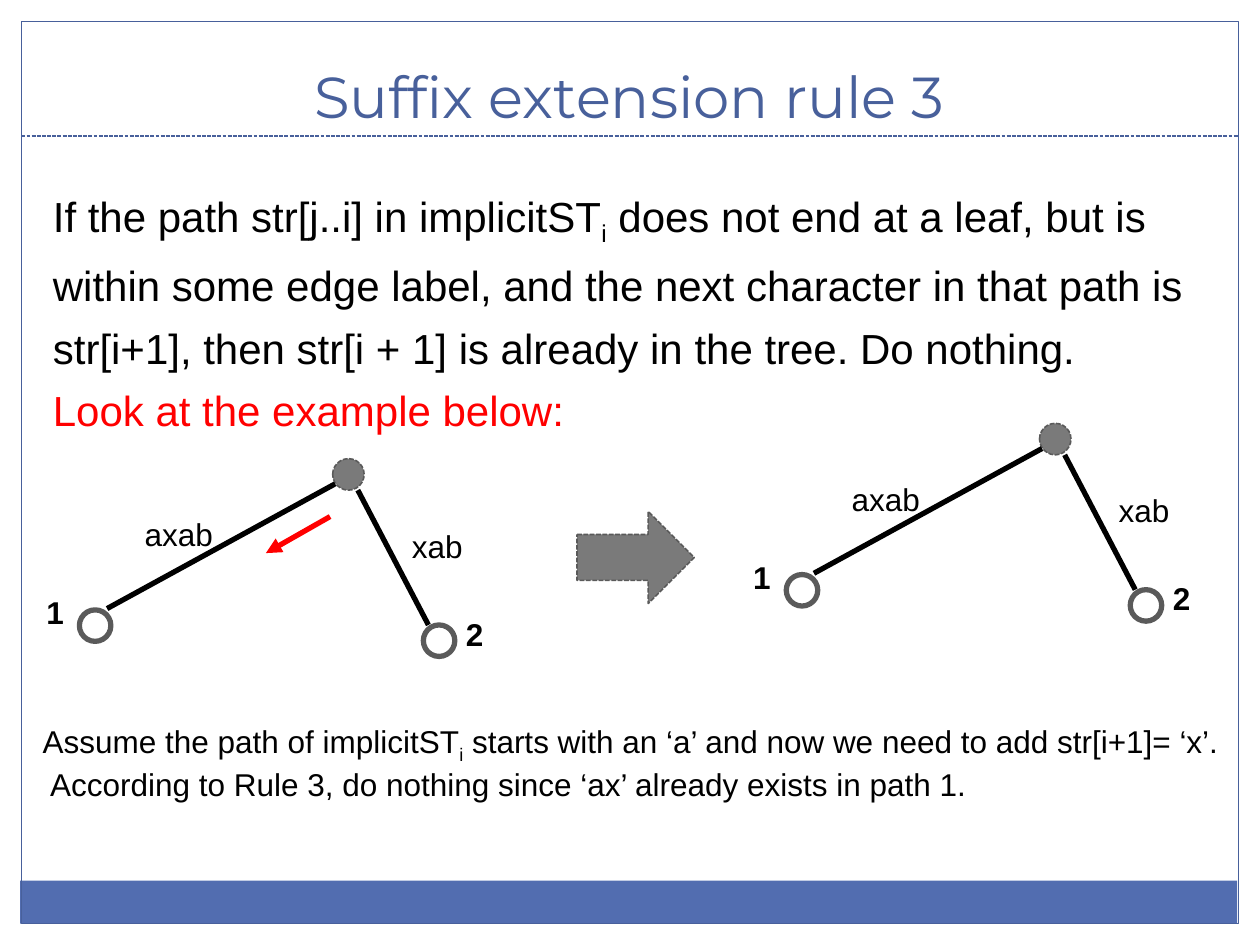
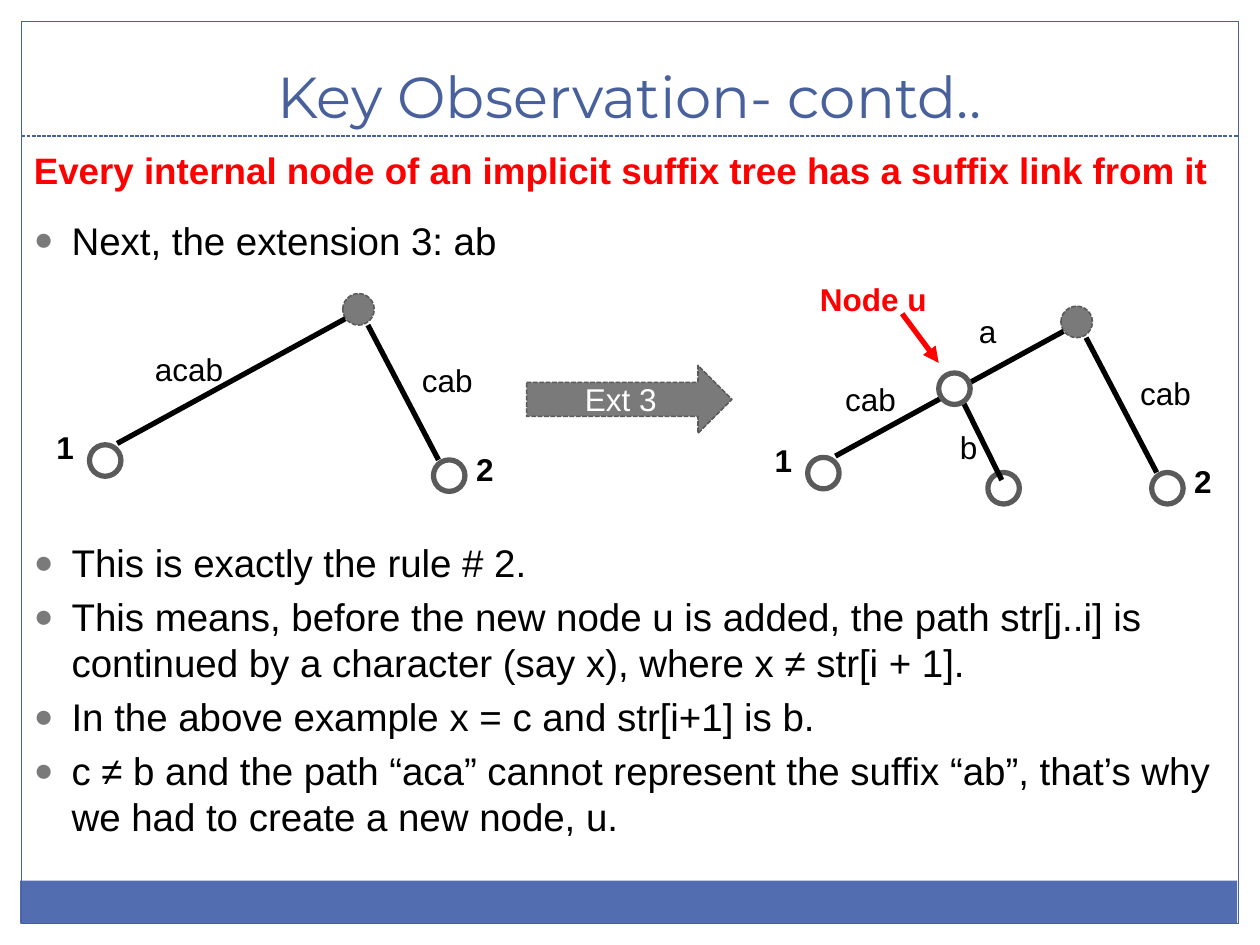
from lxml.etree import SubElement as Sub
from pptx import Presentation
from pptx.dml.color import RGBColor as RGB
from pptx.enum.dml import MSO_LINE as Dash
from pptx.enum.shapes import MSO_CONNECTOR as Conn, MSO_SHAPE as Form
from pptx.enum.text import MSO_ANCHOR as Anchor, PP_ALIGN as Align
from pptx.oxml.ns import qn
from pptx.util import Inches, Pt

HUES = {
    "title": "48609B", "band": "526DB0", "gray": "7A7A7A", "edge": "5A5A5A",
    "black": "000000", "white": "FFFFFF", "red": "FF0000",
}
DOT = 0.25


def hue(name):
    return RGB.from_string(HUES[name])


def apply(item, **vals):
    for key, val in vals.items():
        setattr(item, key, val)


def stroke(line, color, width, dash=None):
    line.color.rgb = hue(color)
    apply(line, width=Pt(width), dash_style=dash)


def shape(host, form, box, fill=None, line=None):
    item = host.add_shape(form, *map(Inches, box))
    item.shadow.inherit = False
    if fill:
        item.fill.solid()
        item.fill.fore_color.rgb = hue(fill)
    else:
        item.fill.background()
    if line:
        stroke(item.line, *line)
    else:
        item.line.fill.background()
    return item


def link(host, start, end, color="black", width=3, dash=None, head=False):
    item = host.add_connector(Conn.STRAIGHT, *map(Inches, start + end))
    stroke(item.line, color, width, dash)
    prop = item.line._get_or_add_ln().getparent()
    if head:
        Sub(item.line._get_or_add_ln(), qn("a:tailEnd"), type="triangle")
    Sub(prop, qn("a:effectLst"))


def write(para, parts, size=18, color="black", face="Arial", bold=None):
    for part in parts:
        low = part.startswith("_")
        run = para.add_run()
        run.text = part.removeprefix("_")
        apply(run.font, size=Pt(size), name=face, bold=bold)
        run.font.color.rgb = hue(color)
        if low:
            run._r.get_or_add_rPr().set("baseline", "-25000")


def text(host, box, rows, wrap=True, **style):
    frame = host.add_textbox(*map(Inches, box)).text_frame
    frame.word_wrap = wrap
    for num, parts in enumerate(rows):
        para = frame.add_paragraph() if num else frame.paragraphs[0]
        write(para, parts, **style)
    return frame


def label(host, spot, words, **style):
    wide = {1: 0.34, 3: 0.61, 4: 0.75, 6: 1.06}[len(words)]
    text(host, spot + (wide, 0.4), [[words]], wrap=False, **style)


def node(host, spot, fill=None):
    return shape(host, Form.OVAL, spot + (DOT, DOT), fill, ("edge", 3))


def arrow(host, box):
    return shape(host, Form.RIGHT_ARROW, box, "gray", ("edge", 0.9, Dash.SQUARE_DOT))


def tree(slide, left, top, long, short, spot=(0.78, 0.4)):
    def at(x, y):
        return left + x, top + y

    host = slide.shapes.add_group_shape().shapes
    shape(host, Form.OVAL, at(2.37, 0) + (DOT, DOT), "gray", ("edge", 0.9, Dash.SQUARE_DOT))
    node(host, at(0.36, 1.2))
    link(host, at(2.39, 0.2), at(0.58, 1.19))
    link(host, at(2.57, 0.25), at(3.13, 1.32))
    label(host, at(2.9, 0.49), short)
    node(host, at(3.09, 1.32))
    label(host, at(*spot), long)
    label(host, at(0, 1.02), "1", bold=True)
    label(host, at(3.33, 1.19), "2", bold=True)


def split(host, left, top):
    def at(x, y):
        return left + x, top + y

    node(host, at(1.43, 1.58), "white")
    link(host, at(1.18, 0.91), at(1.54, 1.64))
    node(host, at(1.04, 0.79), "white")
    label(host, at(1.26, 0.26), "a")
    label(host, at(1.11, 1.18), "b")
    label(host, at(0, 0), "Node u", color="red", bold=True)
    link(host, at(0.75, 0.32), at(1.04, 0.71), "red", head=True)


def bullets(host, box, rows):
    frame = text(host, box, [[row] for row in rows], size=22)
    for num, para in enumerate(frame.paragraphs):
        prop = para._p.get_or_add_pPr()
        apply_xml = {"marL": Inches(0.3), "indent": -Inches(0.3)}
        for key, val in apply_xml.items():
            prop.set(key, str(val))
        if num:
            para.space_before = Pt(4.4)
        tint = Sub(prop, qn("a:buClr"))
        Sub(tint, qn("a:srgbClr"), val=HUES["gray"])
        Sub(prop, qn("a:buSzPct"), val="85000")
        Sub(prop, qn("a:buFont"), typeface="Arial")
        Sub(prop, qn("a:buChar"), char="●")


def base(deck, title):
    slide = deck.slides.add_slide(deck.slide_layouts[6])
    host = slide.shapes
    shape(host, Form.RECTANGLE, (0.16, 6.99, 9.66, 0.34), "band")
    shape(host, Form.RECTANGLE, (0.17, 0.17, 9.66, 7.16), None, ("title", 0.75))
    link(host, (0.17, 1.08), (9.83, 1.08), "title", 0.75, Dash.SQUARE_DOT)
    frame = text(host, (0.33, 0.25, 9.33, 0.83), [[title]],
                 size=33, color="title", face="Montserrat")
    frame.vertical_anchor = Anchor.BOTTOM
    frame.paragraphs[0].alignment = Align.CENTER
    return slide


def rule(deck):
    slide = base(deck, "Suffix extension rule 3")
    host = slide.shapes
    intro = text(host, (0.33, 1.36, 9.33, 0.51), [[
        "If the path str[j..i] in implicitST", "_i",
        " does not end at a leaf, but is within some edge label, and the next "
        "character in that path is str[i+1], then str[i + 1] is already in the "
        "tree. Do nothing."]], size=24)
    apply(intro, margin_left=Inches(0.09), margin_right=Inches(0.09),
          margin_top=Inches(0.04), margin_bottom=Inches(0.04))
    write(intro.add_paragraph(), ["Look at the example below:"], 24, "red")
    for para in intro.paragraphs:
        para.line_spacing = 1.24
    arrow(host, (4.58, 4.06, 0.93, 0.73))
    note = text(host, (0.24, 5.68, 9.6, 0.71), [
        ["Assume the path of implicitST", "_i",
         " starts with an ‘a’ and now we need to add str[i+1]= ‘x’."],
        ["According to Rule 3, do nothing since ‘ax’ already exists in path 1."]])
    note.paragraphs[1]._p.get_or_add_pPr().set("marL", str(Inches(0.06)))
    for left, top in ((0.27, 3.64), (5.88, 3.36)):
        tree(slide, left, top, "axab", "xab")
    link(host, (2.62, 4.1), (2.11, 4.39), "red", head=True)


def proof(deck):
    slide = base(deck, "Key Observation- contd..")
    host = slide.shapes
    bullets(host, (0.17, 1.67, 9.67, 0.5), ["Next, the extension 3: ab"])
    bullets(host, (0.17, 4.23, 9.67, 2.69), [
        "This is exactly the rule # 2.",
        "This means, before the new node u is added, the path str[j..i] is "
        "continued by a character (say x), where x ≠ str[i + 1].",
        "In the above example x = c and str[i+1] is b.",
        "c ≠ b and the path “aca” cannot represent the suffix “ab”, that’s why "
        "we had to create a new node, u."])
    text(host, (0.17, 1.12, 9.67, 0.45),
         [["Every internal node of an implicit suffix tree has a suffix link from it"]],
         size=21, color="red", bold=True)
    tree(slide, 0.35, 2.33, "acab", "cab")
    frame = arrow(host, (4.18, 2.9, 1.63, 0.54)).text_frame
    apply(frame, word_wrap=True, vertical_anchor=Anchor.MIDDLE)
    frame.paragraphs[0].alignment = Align.CENTER
    write(frame.paragraphs[0], ["Ext 3"], color="white")
    tree(slide, 6.05, 2.43, "cab", "cab", (0.56, 0.54))
    split(host, 6.41, 2.17)


def main():
    deck = Presentation()
    apply(deck, slide_width=Inches(10), slide_height=Inches(7.5))
    rule(deck)
    proof(deck)
    deck.save("out.pptx")


if __name__ == "__main__":
    main()
